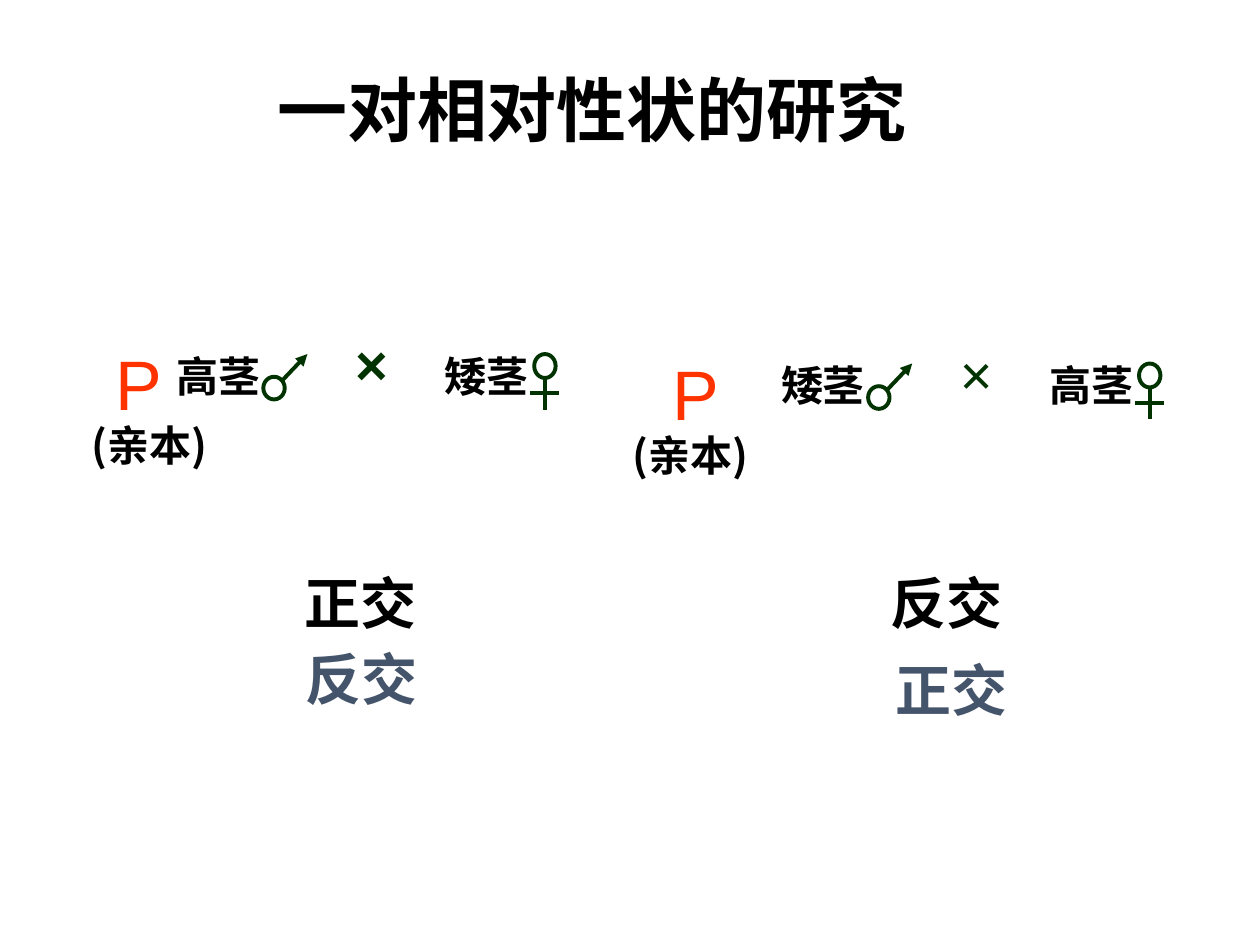
from lxml import etree
from pptx import Presentation
from pptx.dml.color import RGBColor
from pptx.enum.shapes import MSO_CONNECTOR, MSO_SHAPE
from pptx.enum.text import MSO_ANCHOR, MSO_AUTO_SIZE, PP_ALIGN
from pptx.oxml.ns import qn
from pptx.util import Inches, Pt

BLACK = RGBColor(0x00, 0x00, 0x00)
RED = RGBColor(0xFF, 0x33, 0x00)
GREEN = RGBColor(0x00, 0x33, 0x00)
SLATE = RGBColor(0x44, 0x54, 0x6A)
LINE = MSO_CONNECTOR.STRAIGHT
OVAL = MSO_SHAPE.OVAL
TOP = MSO_ANCHOR.TOP
LEFT = PP_ALIGN.LEFT
GROW = MSO_AUTO_SIZE.SHAPE_TO_FIT_TEXT

WIDE, HIGH = Inches(10), Inches(7.5)
COL, ROW = WIDE // 1000, HIGH // 750
HAN, LATIN = "Noto Sans CJK SC", "Arial"
HEAD = {"size": Pt(40), "name": HAN, "bold": True}
STEM = {"size": Pt(24), "name": HAN, "bold": True}
CROSS = {"size": Pt(32), "name": LATIN}
MARK = {"size": Pt(40), "name": LATIN, "bold": False}
TERM = {"size": Pt(32), "name": HAN, "bold": True}


def span(x, y, wide, high):
    """Turn grid columns and rows into slide lengths."""
    return x * COL, y * ROW, wide * COL, high * ROW


def style(frame, text, form, color):
    """Fill a text frame with one formatted line."""
    for key, value in {"word_wrap": True, "auto_size": GROW,
                       "vertical_anchor": TOP}.items():
        setattr(frame, key, value)
    para = frame.paragraphs[0]
    para.alignment = LEFT
    run = para.add_run()
    run.text = text
    for key, value in form.items():
        setattr(run.font, key, value)
    run.font.color.rgb = color
    east = etree.SubElement(run.font._element, qn("a:ea"))
    east.set("typeface", form["name"])


def label(slide, box, text, form, color=BLACK):
    """Add a text box on the grid."""
    style(slide.shapes.add_textbox(*span(*box)).text_frame, text, form, color)


def title(slide, box, text):
    """Place and format the slide title."""
    head = slide.shapes.title
    head.left, head.top, head.width, head.height = span(*box)
    style(head.text_frame, text, HEAD, BLACK)
    head.text_frame.margin_left = 17 * COL


def ring(slide, box):
    """Draw the open circle of a sex sign."""
    oval = slide.shapes.add_shape(OVAL, *span(*box))
    oval.shadow.inherit = False
    oval.fill.background()
    oval.line.color.rgb = GREEN
    oval.line.width = Pt(2.25)


def stroke(slide, x, y, wide, high, arrow=False):
    """Draw a straight stroke, with an arrowhead if asked."""
    line = slide.shapes.add_connector(
        LINE, x * COL, y * ROW, (x + wide) * COL, (y + high) * ROW)
    line.line.color.rgb = GREEN
    line.line.width = Pt(2.25)
    if arrow:
        tail = etree.SubElement(line.line._get_or_add_ln(), qn("a:tailEnd"))
        tail.set("type", "triangle")
    etree.SubElement(line._element.spPr, qn("a:effectLst"))


def male(slide, x, y):
    """Draw a male sign."""
    ring(slide, (x, y + 18, 17, 18))
    stroke(slide, x + 15, y + 21, 20, -21, True)


def female(slide, x, y):
    """Draw a female sign."""
    ring(slide, (x + 3, y, 17, 19))
    stroke(slide, x, y + 31, 23, 0)
    stroke(slide, x + 11.5, y + 19, 0, 25)


def parent(slide, x, y, shift):
    """Place the parent mark above its gloss."""
    label(slide, (x + shift, y, 83, 77), "P", MARK, RED)
    label(slide, (x, y + 63, 142, 50), "(亲本)", STEM)


def mating(slide, x, y, sire, dam, bold):
    """Place a male, a cross and a female in one row."""
    label(slide, (x, y + 16, 125, 50), sire, STEM)
    male(slide, x + 79, y + 24)
    label(slide, (x + 142, y, 75, 63), "×", {**CROSS, "bold": bold}, GREEN)
    label(slide, (x + 213, y + 16, 117, 50), dam, STEM)
    female(slide, x + 291, y + 24)


def terms(slide, x, y, first, second, step):
    """Place the name of the cross above its other name."""
    across, down = step
    label(slide, (x, y, 150, 63), first, TERM)
    label(slide, (x + across, y + down, 150, 63), second, TERM, SLATE)


def main():
    """Build and save the slide."""
    deck = Presentation()
    deck.slide_width, deck.slide_height = WIDE, HIGH
    slide = deck.slides.add_slide(deck.slide_layouts[5])
    title(slide, (203, 48, 582, 77), "一对相对性状的研究")
    parent(slide, 63, 265, 19)
    mating(slide, 130, 257, "高茎", "矮茎", True)
    terms(slide, 232, 446, "正交", "反交", (1, 61))
    parent(slide, 492, 273, 32)
    mating(slide, 610, 264.5, "矮茎", "高茎", False)
    terms(slide, 697, 446, "反交", "正交", (4, 69))
    deck.save("out.pptx")


if __name__ == "__main__":
    main()
